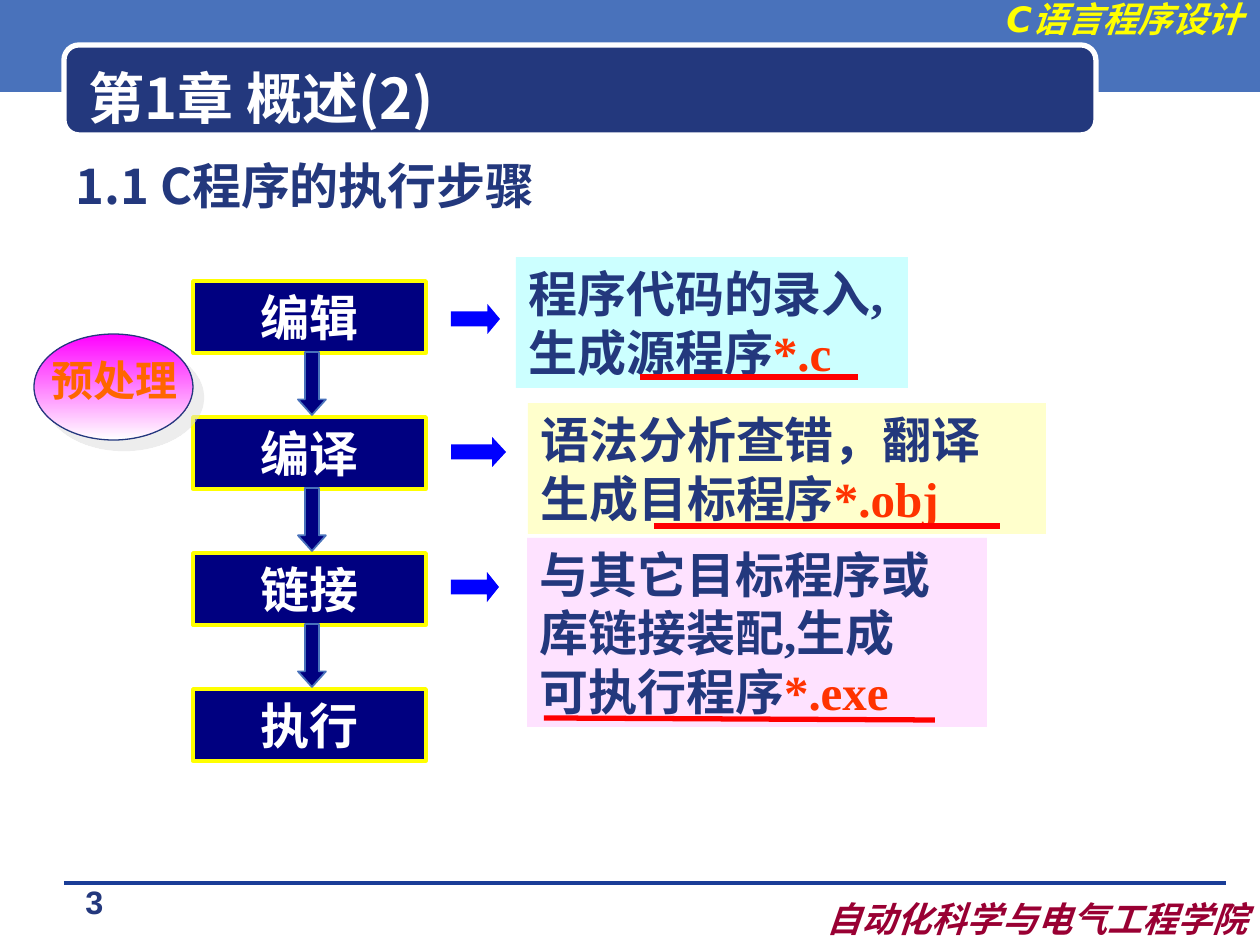
from lxml import etree
from pptx import Presentation
from pptx.dml.color import RGBColor
from pptx.enum.shapes import MSO_CONNECTOR, MSO_SHAPE
from pptx.enum.text import MSO_ANCHOR, PP_ALIGN
from pptx.oxml import parse_xml
from pptx.oxml.ns import nsdecls, qn
from pptx.util import Pt

RECT, ROUNDED, OVAL = MSO_SHAPE.RECTANGLE, MSO_SHAPE.ROUNDED_RECTANGLE, MSO_SHAPE.OVAL
DOWN, RIGHT = MSO_SHAPE.DOWN_ARROW, MSO_SHAPE.RIGHT_ARROW
STRAIGHT = MSO_CONNECTOR.STRAIGHT
TOP, MIDDLE = MSO_ANCHOR.TOP, MSO_ANCHOR.MIDDLE
ALIGN_LEFT, ALIGN_CENTER, ALIGN_RIGHT = PP_ALIGN.LEFT, PP_ALIGN.CENTER, PP_ALIGN.RIGHT

EMU_PER_PX = 914400 / 126
CJK, SERIF, SANS, HEADER = "Noto Sans CJK SC", "Times New Roman", "Arial", "DejaVu Sans"
COLORS = {
    "band": "4972BB", "navy": "23387D", "rule": "1A3D97", "white": "FFFFFF",
    "step": "000080", "yellow": "FFFF00", "arrow": "0000FF", "underline": "FF0000",
    "file": "FF3300", "orange": "FF6600", "magenta": "FF00FF", "maroon": "990033",
    "cyan_note": "CCFFFF", "yellow_note": "FFFFCC", "pink_note": "FEE2FF",
    "shadow": "DDDDDD",
}

STEPS = ["编辑", "编译", "链接", "执行"]
STEP_LEFT, STEP_TOP, STEP_WIDTH, STEP_HEIGHT, STEP_PITCH = 193, 281, 233, 72, 136

NOTES = [
    {"box": (516, 257, 392, 131), "color": "cyan_note", "wrap": False,
     "lines": [["程序代码的录入,"], ["生成源程序", "*.c"]],
     "arrow": (451, 304, 49, 30), "head": 0.417, "underline": (640, 377, 858, 377)},
    {"box": (528, 403, 518, 131), "color": "yellow_note", "wrap": True,
     "lines": [["语法分析查错，翻译"], ["生成目标程序", "*.obj"]],
     "arrow": (451, 437, 55, 30), "head": 0.462, "underline": (654, 526, 1000, 526)},
    {"box": (527, 538, 460, 189), "color": "pink_note", "wrap": True,
     "lines": [["与其它目标程序或库链接装配,生成"], ["可执行程序", "*.exe"]],
     "arrow": (451, 572, 48, 30), "head": 0.399, "underline": (544, 718, 935, 720)},
]


def px(value):
    return round(value * EMU_PER_PX)


def rgb(name):
    return RGBColor.from_string(COLORS[name])


def style_run(run, size, font, color, italic=False):
    run.font.size = Pt(size)
    run.font.bold = True
    run.font.italic = italic
    run.font.name = font
    run.font.color.rgb = rgb(color)
    east_asian = etree.SubElement(run.font._element, qn("a:ea"))
    east_asian.set("typeface", CJK)


def set_frame(frame, anchor=TOP, wrap=True):
    frame.word_wrap = wrap
    frame.vertical_anchor = anchor


def write_line(frame, text, size, font, color, align=ALIGN_LEFT, italic=False):
    frame.text = text
    paragraph = frame.paragraphs[0]
    paragraph.alignment = align
    style_run(paragraph.runs[0], size, font, color, italic)
    return paragraph


def add_block(slide, kind, box, fill=None, outline=None, width=1):
    block = slide.shapes.add_shape(kind, *map(px, box))
    block.shadow.inherit = False
    if fill:
        block.fill.solid()
        block.fill.fore_color.rgb = rgb(fill)
    if outline:
        block.line.color.rgb = rgb(outline)
        block.line.width = Pt(width)
    else:
        block.line.fill.background()
    return block


def add_label(slide, box, text, size, font, color, align=ALIGN_LEFT, anchor=TOP, italic=False):
    label = slide.shapes.add_textbox(*map(px, box))
    set_frame(label.text_frame, anchor)
    return write_line(label.text_frame, text, size, font, color, align, italic)


def add_rule(slide, ends, color, width):
    rule = slide.shapes.add_connector(STRAIGHT, *map(px, ends))
    rule.line.color.rgb = rgb(color)
    rule.line.width = Pt(width)
    etree.SubElement(rule._element.spPr, qn("a:effectLst"))


def add_arrow(slide, kind, box, head, fill, outline=None):
    arrow = add_block(slide, kind, box, fill, outline)
    arrow.adjustments[0] = 0.5
    arrow.adjustments[1] = head


def add_background(slide):
    add_block(slide, RECT, (0, -4, 1260, 96), "band")
    add_rule(slide, (64, 883, 1226, 883), "rule", 0)
    add_block(slide, ROUNDED, (64, 45, 1032, 90), "navy", "white", 3)
    add_label(slide, (937, -9, 318, 55), "C语言程序设计", 20, HEADER, "yellow",
              ALIGN_RIGHT, italic=True)
    add_label(slide, (751, 891, 509, 55), "自动化科学与电气工程学院", 20, HEADER, "maroon",
              ALIGN_RIGHT, italic=True)
    number = add_label(slide, (25, 880, 139, 54), "3", 18.5, SANS, "navy", ALIGN_CENTER)
    number.line_spacing = 0.9


def add_steps(slide):
    for index, name in enumerate(STEPS):
        top = STEP_TOP + index * STEP_PITCH
        step = add_block(slide, RECT, (STEP_LEFT, top, STEP_WIDTH, STEP_HEIGHT),
                         "step", "yellow", 2)
        set_frame(step.text_frame, MIDDLE)
        write_line(step.text_frame, name, 28, SERIF, "white", ALIGN_CENTER)
    for index in range(len(STEPS) - 1):
        top = STEP_TOP + index * STEP_PITCH + STEP_HEIGHT - 1
        add_arrow(slide, DOWN, (298, top, 28, 63), 0.555, "step", "band")


def add_note(slide, note):
    panel = add_block(slide, RECT, note["box"], note["color"])
    frame = panel.text_frame
    set_frame(frame, wrap=note["wrap"])
    for index, parts in enumerate(note["lines"]):
        paragraph = frame.add_paragraph() if index else frame.paragraphs[0]
        paragraph.alignment = ALIGN_LEFT
        for part, color in zip(parts, ("navy", "file")):
            run = paragraph.add_run()
            run.text = part
            style_run(run, 28, SERIF, color)
    add_arrow(slide, RIGHT, note["arrow"], note["head"], "arrow")
    add_rule(slide, note["underline"], "underline", 3)


def add_preprocessing(slide):
    bubble = add_block(slide, OVAL, (34, 334, 159, 106), outline="navy", width=0.75)
    bubble.fill.gradient()
    bubble.fill.gradient_angle = 270
    for stop, color, position in zip(bubble.fill.gradient_stops, ("magenta", "white"), (0, 1)):
        stop.color.rgb = rgb(color)
        stop.position = position
    effects = bubble._element.spPr.find(qn("a:effectLst"))
    effects.append(parse_xml(
        f'<a:outerShdw {nsdecls("a")} dist="{Pt(8.5)}" dir="2700000" algn="ctr" rotWithShape="0">'
        f'<a:srgbClr val="{COLORS["shadow"]}"><a:alpha val="50000"/></a:srgbClr></a:outerShdw>'))
    add_label(slide, (39, 348, 169, 63), "预处理", 24, SERIF, "orange")


def main():
    presentation = Presentation()
    presentation.slide_width = px(1260)
    presentation.slide_height = px(945)
    slide = presentation.slides.add_slide(presentation.slide_layouts[6])
    add_background(slide)
    add_label(slide, (76, 58, 987, 78), "第1章 概述(2)", 32, CJK, "white", anchor=MIDDLE)
    add_label(slide, (63, 149, 1134, 723), "1.1 C程序的执行步骤", 28, CJK, "navy")
    add_steps(slide)
    for note in NOTES:
        add_note(slide, note)
    add_preprocessing(slide)
    presentation.save("out.pptx")


if __name__ == "__main__":
    main()
